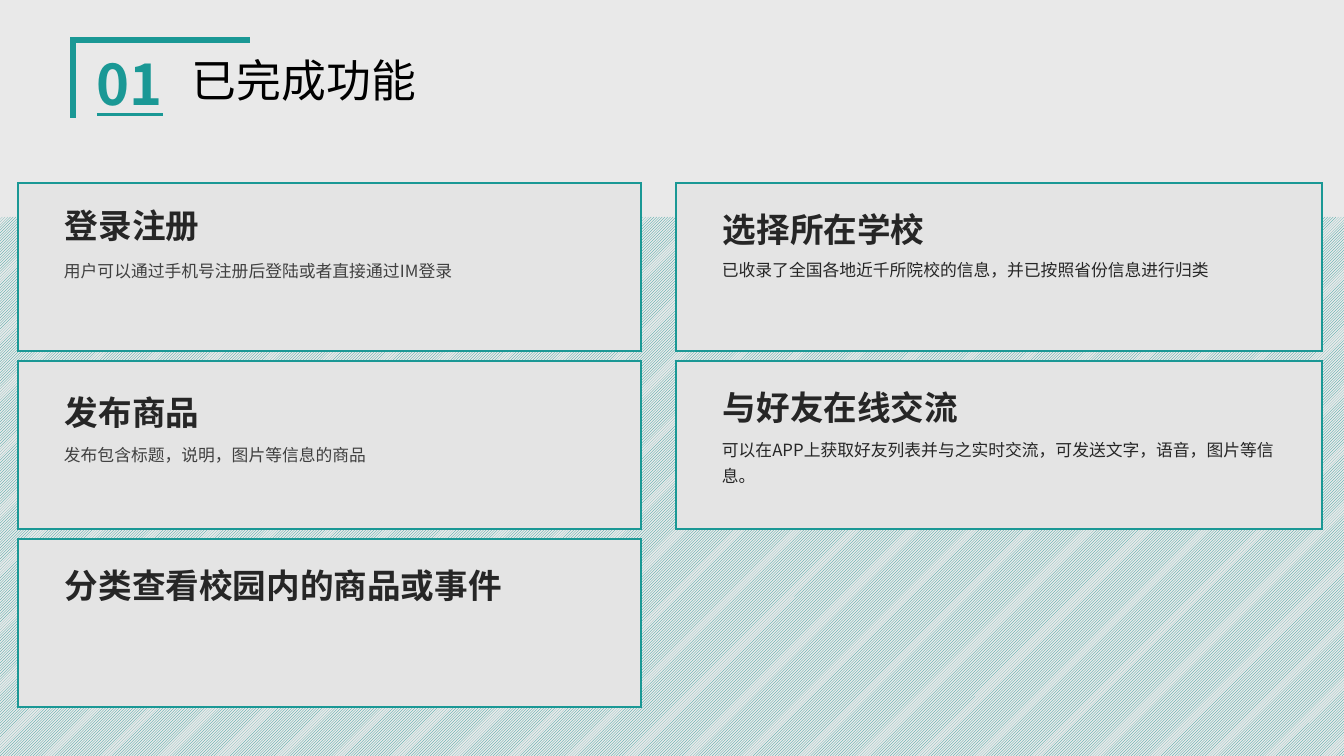
from dataclasses import dataclass

from lxml import etree
from pptx import Presentation, util as u
from pptx.dml.color import RGBColor
from pptx.enum import dml, shapes, text
from pptx.oxml import ns
from pptx.shapes.autoshape import Shape
from pptx.shapes.shapetree import SlideShapes
from pptx.slide import Slide

PAGE_WIDTH, PAGE_HEIGHT = 1344, 756
EMU_PER_PX = u.Inches(7.5) / PAGE_HEIGHT


@dataclass(frozen=True)
class Theme:
    font: str = "Noto Sans CJK SC"
    accent: str = "1A9895"
    background: str = "E9E9E9"
    card: str = "E4E4E4"
    title: str = "000000"
    dark: str = "262626"
    soft: str = "404040"
    number_size: int = 40
    title_size: int = 32
    heading_size: int = 24
    body_size: int = 12
    bracket_width: float = 4.5
    card_line: float = 1.5
    body_spacing: float = 1.3


THEME = Theme()


@dataclass(frozen=True)
class Box:
    left: int
    top: int
    width: int
    height: int

    def emu(self) -> tuple[u.Emu, ...]:
        return tuple(px(n) for n in (self.left, self.top, self.width, self.height))


@dataclass(frozen=True)
class TextStyle:
    size: int
    color: str
    bold: bool = False
    underline: bool = False
    spacing: float | None = None
    wrap: bool = True


@dataclass(frozen=True)
class Column:
    left: int
    width: int
    body_color: str


@dataclass(frozen=True)
class Card:
    column: Column
    row: int
    heading: str
    heading_top: int
    heading_width: int
    body: str = ""
    body_top: int = 0
    body_height: int = 34


FIRST_ROW, ROW_PITCH, CARD_HEIGHT = 183, 178, 168
HEADING_INSET, BODY_INSET = 37, 36
HEADING_HEIGHT, BODY_WIDTH = 50, 588

LEFT = Column(18, 623, THEME.soft)
RIGHT = Column(676, 646, THEME.dark)

CARDS = [
    Card(LEFT, 0, "登录注册", 200, 156,
         "用户可以通过手机号注册后登陆或者直接通过IM登录", 250),
    Card(LEFT, 1, "发布商品", 387, 156,
         "发布包含标题，说明，图片等信息的商品", 434),
    Card(LEFT, 2, "分类查看校园内的商品或事件", 560, 462),
    Card(RIGHT, 0, "选择所在学校", 204, 224,
         "已收录了全国各地近千所院校的信息，并已按照省份信息进行归类", 249),
    Card(RIGHT, 1, "与好友在线交流", 382, 258,
         "可以在APP上获取好友列表并与之实时交流，可发送文字，语音，图片等信息。", 429, 64),
]


def px(length: int) -> u.Emu:
    return u.Emu(round(length * EMU_PER_PX))


def rgb(color: str) -> RGBColor:
    return RGBColor.from_string(color)


def add_text(tree: SlideShapes, box: Box, words: str, style: TextStyle) -> None:
    frame = tree.add_textbox(*box.emu()).text_frame
    frame.word_wrap = style.wrap
    frame.auto_size = text.MSO_AUTO_SIZE.SHAPE_TO_FIT_TEXT
    frame.text = words
    para = frame.paragraphs[0]
    para.line_spacing = style.spacing
    span = para.runs[0]
    span.font.size = u.Pt(style.size)
    span.font.bold = style.bold
    span.font.underline = style.underline
    span.font.color.rgb = rgb(style.color)
    span.font.name = THEME.font
    east_asian = etree.SubElement(span.font._element, ns.qn("a:ea"))
    east_asian.set("typeface", THEME.font)


def add_rectangle(tree: SlideShapes, box: Box) -> Shape:
    rectangle = tree.add_shape(shapes.MSO_SHAPE.RECTANGLE, *box.emu())
    rectangle.shadow.inherit = False
    return rectangle


def outline(shape: Shape, width: float) -> None:
    shape.line.color.rgb = rgb(THEME.accent)
    shape.line.width = u.Pt(width)
    corner = etree.SubElement(shape.line._ln, ns.qn("a:miter"))
    corner.set("lim", "800000")


def add_hatching(tree: SlideShapes) -> None:
    hatching = add_rectangle(tree, Box(0, 217, PAGE_WIDTH, PAGE_HEIGHT - 217))
    hatching.line.fill.background()
    hatching.fill.patterned()
    hatching.fill.pattern = dml.MSO_PATTERN.LIGHT_UPWARD_DIAGONAL
    hatching.fill.fore_color.rgb = rgb(THEME.accent)
    hatching.fill.back_color.rgb = rgb(THEME.background)


def add_header(tree: SlideShapes) -> None:
    builder = tree.build_freeform(73, 118, scale=EMU_PER_PX)
    builder.add_line_segments([(73, 40), (250, 40)], close=False)
    bracket = builder.convert_to_shape()
    bracket.shadow.inherit = False
    bracket.fill.background()
    outline(bracket, THEME.bracket_width)
    add_text(tree, Box(87, 45, 96, 78), "01",
             TextStyle(THEME.number_size, THEME.accent, bold=True, underline=True))
    add_text(tree, Box(182, 48, 294, 65), "已完成功能",
             TextStyle(THEME.title_size, THEME.title))


def add_card(tree: SlideShapes, card: Card) -> None:
    column = card.column
    top = FIRST_ROW + card.row * ROW_PITCH
    panel = add_rectangle(tree, Box(column.left, top, column.width, CARD_HEIGHT))
    panel.fill.solid()
    panel.fill.fore_color.rgb = rgb(THEME.card)
    outline(panel, THEME.card_line)
    add_text(tree,
             Box(column.left + HEADING_INSET, card.heading_top,
                 card.heading_width, HEADING_HEIGHT),
             card.heading,
             TextStyle(THEME.heading_size, THEME.dark, bold=True, wrap=False))
    if card.body:
        add_text(tree,
                 Box(column.left + BODY_INSET, card.body_top,
                     BODY_WIDTH, card.body_height),
                 card.body,
                 TextStyle(THEME.body_size, column.body_color,
                           spacing=THEME.body_spacing))


def draw_page(page: Slide) -> None:
    page.background.fill.solid()
    page.background.fill.fore_color.rgb = rgb(THEME.background)
    add_hatching(page.shapes)
    add_header(page.shapes)
    for card in CARDS:
        add_card(page.shapes, card)


def main() -> None:
    deck = Presentation()
    deck.slide_width, deck.slide_height = px(PAGE_WIDTH), px(PAGE_HEIGHT)
    draw_page(deck.slides.add_slide(deck.slide_layouts[6]))
    deck.save("out.pptx")


if __name__ == "__main__":
    main()
